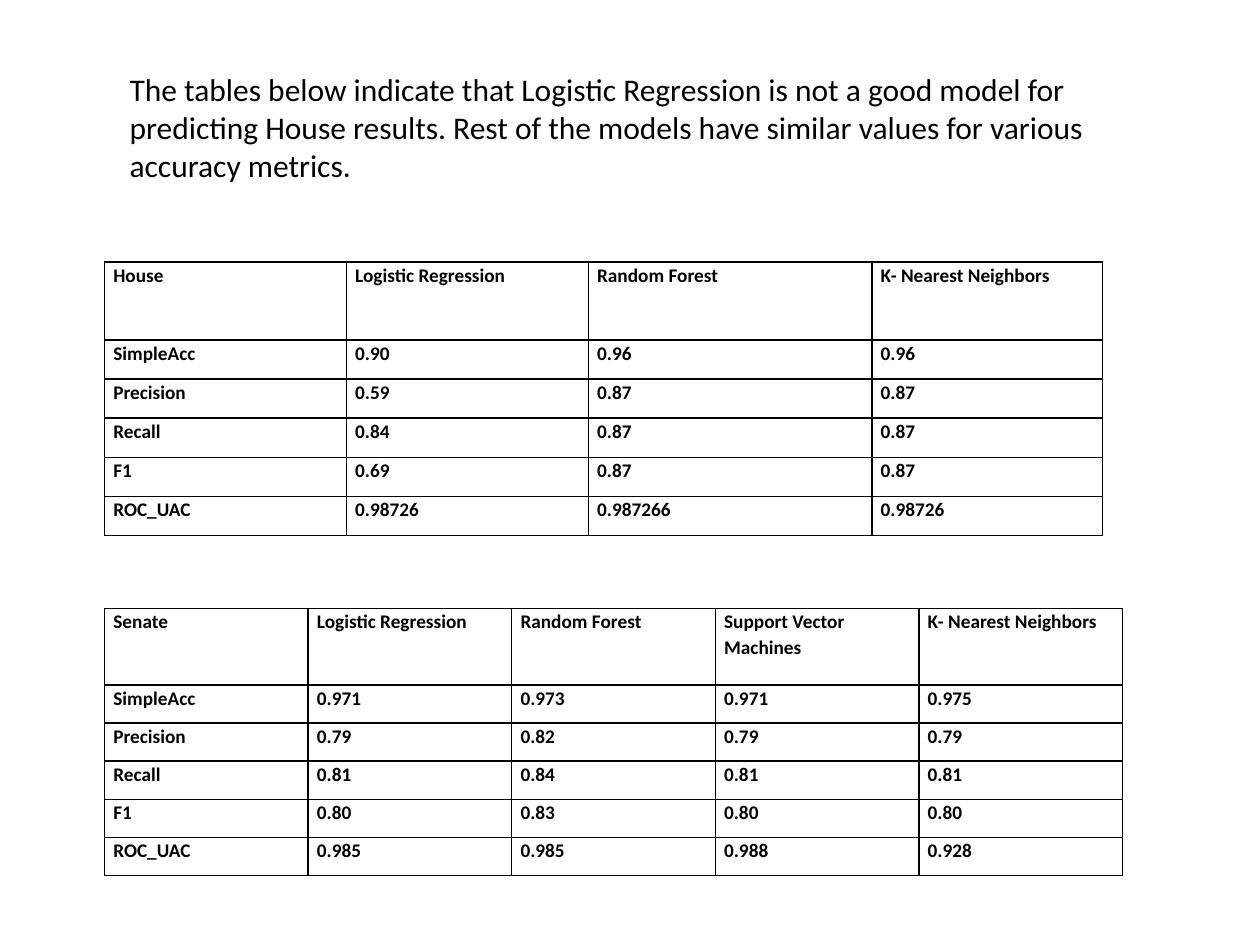
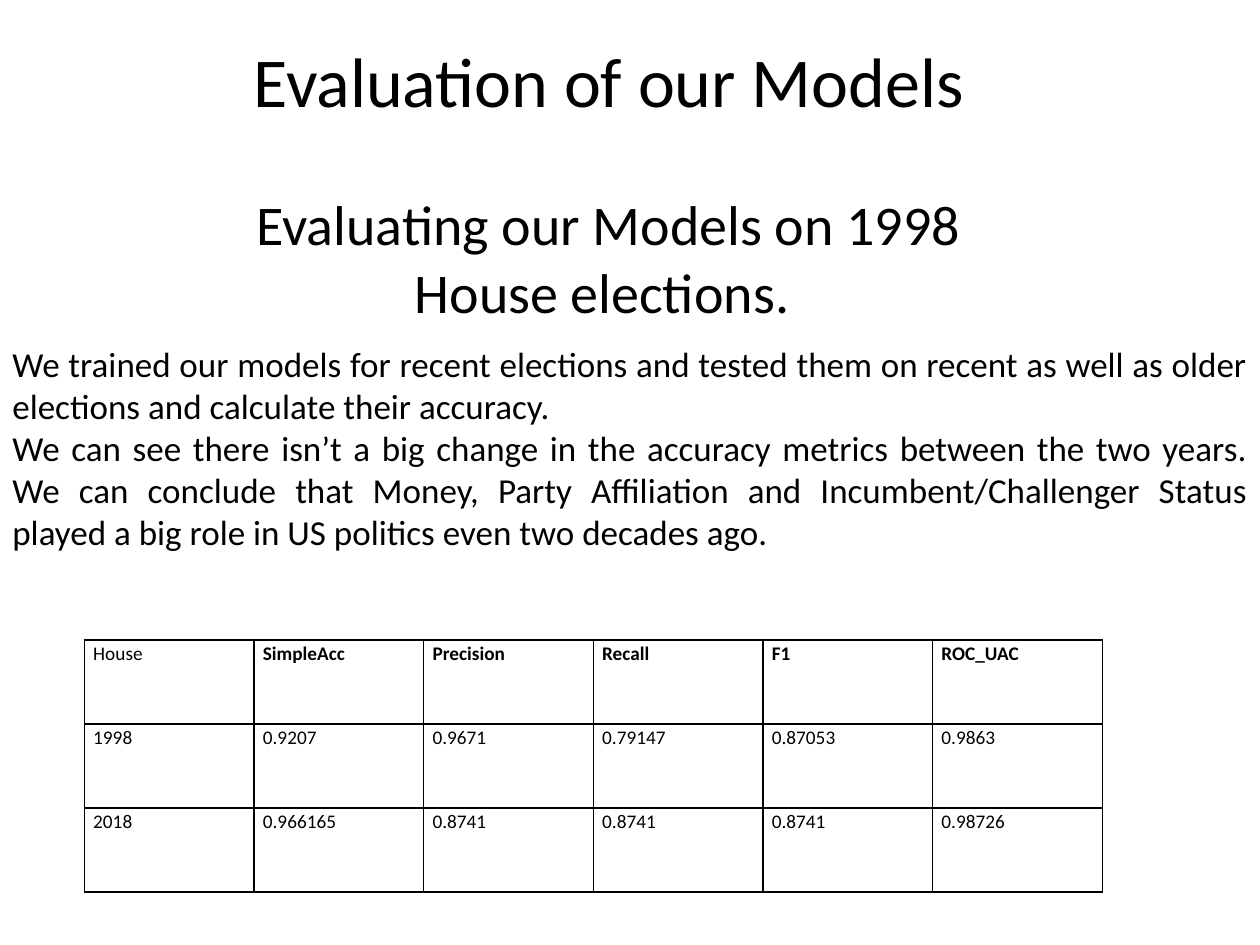
from dataclasses import dataclass

from lxml.etree import SubElement as Sub
from pptx import Presentation
from pptx.dml.color import RGBColor
from pptx.enum.text import MSO_AUTO_SIZE as Auto, PP_ALIGN as Align
from pptx.oxml.ns import qn
from pptx.slide import Slide
from pptx.table import _Cell as Cell
from pptx.text.text import _Paragraph as Para
from pptx.util import Inches, Pt

# Shared style
BLACK = RGBColor(0x00, 0x00, 0x00)
FONT = "Calibri"
CELL_SIZE = 11
CELL_PAD = 0.07
RULE = Pt(1)
WIDE = 8.08


@dataclass
class Line:
    text: str
    size: float
    align: Align = Align.LEFT
    before: float = 0


@dataclass
class Note:
    left: float
    top: float
    width: float
    height: float
    lines: list[Line]


@dataclass
class Grid:
    left: float
    top: float
    height: float
    cols: list[float]
    ratio: list[int]  # relative row heights
    rows: list[str]  # cells divided by "|"
    plain: bool = False  # bold only in the header, after its first cell


def style(para: Para, size: float, bold: bool = False) -> None:
    for run in para.runs:
        font = run.font
        font.name, font.size, font.bold = FONT, Pt(size), bold
        font.color.rgb = BLACK


def add_note(slide: Slide, note: Note) -> None:
    box = slide.shapes.add_textbox(Inches(note.left), Inches(note.top),
                                   Inches(note.width), Inches(note.height))
    frame = box.text_frame
    frame.word_wrap = True
    frame.auto_size = Auto.SHAPE_TO_FIT_TEXT
    frame.text = "\n".join(line.text for line in note.lines)
    for para, line in zip(frame.paragraphs, note.lines):
        para.alignment = line.align
        para.space_before = Pt(line.before)
        style(para, line.size)


def rule_cell(cell: Cell) -> None:
    props = cell._tc.get_or_add_tcPr()
    for side in ("lnL", "lnR", "lnT", "lnB"):
        edge = Sub(props, qn(f"a:{side}"), w=str(RULE))
        fill = Sub(edge, qn("a:solidFill"))
        Sub(fill, qn("a:srgbClr"), val=str(BLACK))


def fill_cell(cell: Cell, text: str, bold: bool) -> None:
    rule_cell(cell)
    cell.fill.background()
    cell.margin_left = cell.margin_right = Inches(CELL_PAD)
    cell.margin_top = cell.margin_bottom = 0
    cell.text_frame.text = text
    para = cell.text_frame.paragraphs[0]
    para.line_spacing, para.space_after = 1.07, Pt(8)
    style(para, CELL_SIZE, bold)


def add_grid(slide: Slide, grid: Grid) -> None:
    frame = slide.shapes.add_table(
        len(grid.rows), len(grid.cols), Inches(grid.left), Inches(grid.top),
        Inches(sum(grid.cols)), Inches(grid.height))
    table = frame.table
    table.first_row = table.horz_banding = False
    for col, width in zip(table.columns, grid.cols):
        col.width = Inches(width)
    unit = grid.height / sum(grid.ratio)
    for row, share in zip(table.rows, grid.ratio):
        row.height = Inches(unit * share)
    for y, row in enumerate(grid.rows):
        for x, text in enumerate(row.split("|")):
            bold = not grid.plain or (y == 0 and x > 0)
            fill_cell(table.cell(y, x), text, bold)


deck = Presentation()
deck.slide_width, deck.slide_height = Inches(10), Inches(7.5)
blank = deck.slide_layouts[6]
TALL_HEAD = [2, 1, 1, 1, 1, 1]

# Slide 1: scores by model for both chambers
scores = deck.slides.add_slide(blank)
add_grid(scores, Grid(0.83, 4.83, 2.12, [WIDE / 5] * 5, TALL_HEAD, [
    "Senate|Logistic Regression|Random Forest|Support Vector Machines"
    "|K- Nearest Neighbors",
    "SimpleAcc|0.971|0.973|0.971|0.975",
    "Precision|0.79|0.82|0.79|0.79",
    "Recall|0.81|0.84|0.81|0.81",
    "F1|0.80|0.83|0.80|0.80",
    "ROC_UAC|0.985|0.985|0.988|0.928",
]))
add_grid(scores, Grid(0.83, 2.08, 2.17, [1.92, 1.92, 2.25, 1.83], TALL_HEAD, [
    "House|Logistic Regression|Random Forest|K- Nearest Neighbors",
    "SimpleAcc|0.90|0.96|0.96",
    "Precision|0.59|0.87|0.87",
    "Recall|0.84|0.87|0.87",
    "F1|0.69|0.87|0.87",
    "ROC_UAC|0.98726|0.987266|0.98726",
]))
add_note(scores, Note(0.93, 0.51, 7.82, 1.01, [
    Line("The tables below indicate that Logistic Regression is not a good "
         "model for predicting House results. Rest of the models have "
         "similar values for various accuracy metrics. ", 18),
]))

# Slide 2: the House elections of two years compared
years = deck.slides.add_slide(blank)
add_note(years, Note(0, 2.67, 10, 2.09, [
    Line("We trained our models for recent elections and tested them on "
         "recent as well as older elections and calculate their accuracy.",
         20, Align.JUSTIFY),
    Line("We can see there isn’t a big change in the accuracy metrics "
         "between the two years. We can conclude that Money, Party "
         "Affiliation and Incumbent/Challenger Status played a big role in "
         "US politics even two decades ago. ", 20, Align.JUSTIFY),
]))
add_note(years, Note(1.33, 0.25, 7, 2.39, [
    Line("Evaluation of our Models", 40, Align.CENTER),
    Line("Evaluating our Models on 1998 House elections. ", 32,
         Align.CENTER, before=39),
]))
add_grid(years, Grid(0.67, 5.08, 2, [WIDE / 6] * 6, [1, 1, 1], [
    "House|SimpleAcc|Precision|Recall|F1|ROC_UAC",
    "1998|0.9207|0.9671|0.79147|0.87053|0.9863",
    "2018|0.966165|0.8741|0.8741|0.8741|0.98726",
], plain=True))

deck.save("out.pptx")
